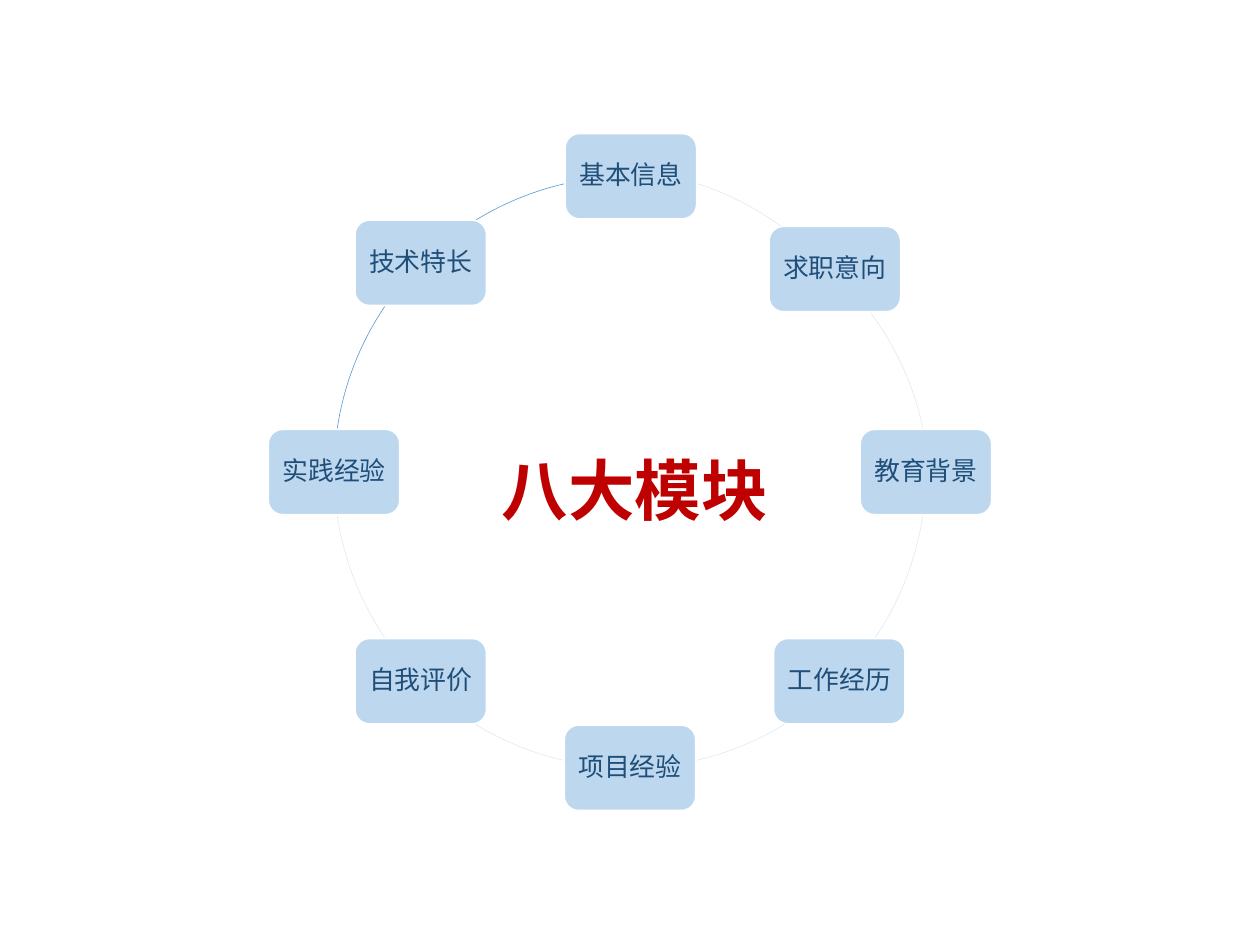
import math
from dataclasses import dataclass

from lxml import etree
from pptx import Presentation
from pptx import util as u
from pptx.dml.color import RGBColor
from pptx.enum import shapes, text
from pptx.oxml import ns


@dataclass(frozen=True)
class Theme:
    font: str = "Noto Sans CJK SC"
    box_fill: str = "BDD7EE"
    box_line: str = "FFFFFF"
    label: str = "1F4E79"
    title: str = "BF0000"
    pale_arc: str = "DEEBF7"
    strong_arc: str = "5B9BD5"
    label_size: int = 21
    title_size: int = 54


THEME = Theme()
CENTRE_X, CENTRE_Y, RADIUS = 7.11, 5.33, 3.34
BOX_WIDTH, BOX_HEIGHT = 1.48, 0.96

# Clockwise from the top: label and nudge off the ring
MODULES = [
    ("基本信息", 0.01, 0),
    ("求职意向", -0.05, 0.07),
    ("教育背景", 0, 0),
    ("工作经历", 0, 0),
    ("项目经验", 0, 0),
    ("自我评价", 0, 0),
    ("实践经验", 0, 0),
    ("技术特长", 0, 0),
]

# Start and end in degrees clockwise from the right, colour, shift of the centre
ARCS = [
    (288, 306.2, THEME.pale_arc, -0.27, -0.08),
    (323.3, 348, THEME.pale_arc, 0.04, 0.2),
    (8.6, 34, THEME.pale_arc, 0, 0),
    (58.6, 77, THEME.pale_arc, 0, 0),
    (103, 121.4, THEME.pale_arc, 0, 0),
    (146, 171.4, THEME.pale_arc, 0, 0),
    (188.5, 214, THEME.strong_arc, 0, 0),
    (238.5, 257, THEME.strong_arc, 0.01, 0),
]


def write_text(shape, content, *, size, color, bold=False, spacing=1.0,
               inset=0.1, anchor=text.MSO_ANCHOR.MIDDLE):
    frame = shape.text_frame
    frame.word_wrap = False
    frame.auto_size = text.MSO_AUTO_SIZE.NONE
    frame.vertical_anchor = anchor
    frame.margin_left = frame.margin_right = u.Inches(inset)
    frame.margin_top = frame.margin_bottom = u.Inches(inset / 2)
    para = frame.paragraphs[0]
    para.alignment = text.PP_ALIGN.CENTER
    para.line_spacing = spacing
    span = para.add_run()
    span.text = content
    span.font.name = THEME.font
    span.font.size = u.Pt(size)
    span.font.bold = bold
    span.font.color.rgb = RGBColor.from_string(color)
    east_asian = etree.SubElement(span.font._element, ns.qn("a:ea"))
    east_asian.set("typeface", THEME.font)


def add_centred(page, kind, x, y, width, height, line, weight):
    """Add a preset shape around the point x, y."""
    shape = page.shapes.add_shape(
        kind, u.Inches(x - width / 2), u.Inches(y - height / 2),
        u.Inches(width), u.Inches(height))
    shape.shadow.inherit = False
    shape.line.color.rgb = RGBColor.from_string(line)
    shape.line.width = u.Pt(weight)
    return shape


def add_arc(page, start, end, color, dx, dy):
    arc = add_centred(page, shapes.MSO_SHAPE.ARC, CENTRE_X + dx, CENTRE_Y + dy,
                      2 * RADIUS, 2 * RADIUS, color, 0.5)
    arc.fill.background()
    # Arc adjustments count 1/60000 degree, scaled by 100000
    for index, degrees in enumerate((start, end)):
        arc.adjustments[index] = degrees * 0.6


def add_module(page, position, label, dx, dy):
    angle = math.radians(360 / len(MODULES) * position - 90)
    box = add_centred(page, shapes.MSO_SHAPE.ROUNDED_RECTANGLE,
                      CENTRE_X + RADIUS * math.cos(angle) + dx,
                      CENTRE_Y + RADIUS * math.sin(angle) + dy,
                      BOX_WIDTH, BOX_HEIGHT, THEME.box_line, 1)
    box.fill.solid()
    box.fill.fore_color.rgb = RGBColor.from_string(THEME.box_fill)
    write_text(box, label, size=THEME.label_size, color=THEME.label, spacing=0.9)


def add_title(page, content):
    title = page.shapes.title
    title.left, title.top = u.Inches(5.55), u.Inches(5.02)
    title.width, title.height = u.Inches(3.23), u.Inches(1.01)
    write_text(title, content, size=THEME.title_size, color=THEME.title,
               bold=True, anchor=text.MSO_ANCHOR.TOP)


def main():
    deck = Presentation()
    deck.slide_width, deck.slide_height = u.Inches(14.22), u.Inches(10.67)
    page = deck.slides.add_slide(deck.slide_layouts.get_by_name("Title Only"))
    add_title(page, "八大模块")
    for arc in ARCS:
        add_arc(page, *arc)
    for position, module in enumerate(MODULES):
        add_module(page, position, *module)
    deck.save("out.pptx")


if __name__ == "__main__":
    main()
